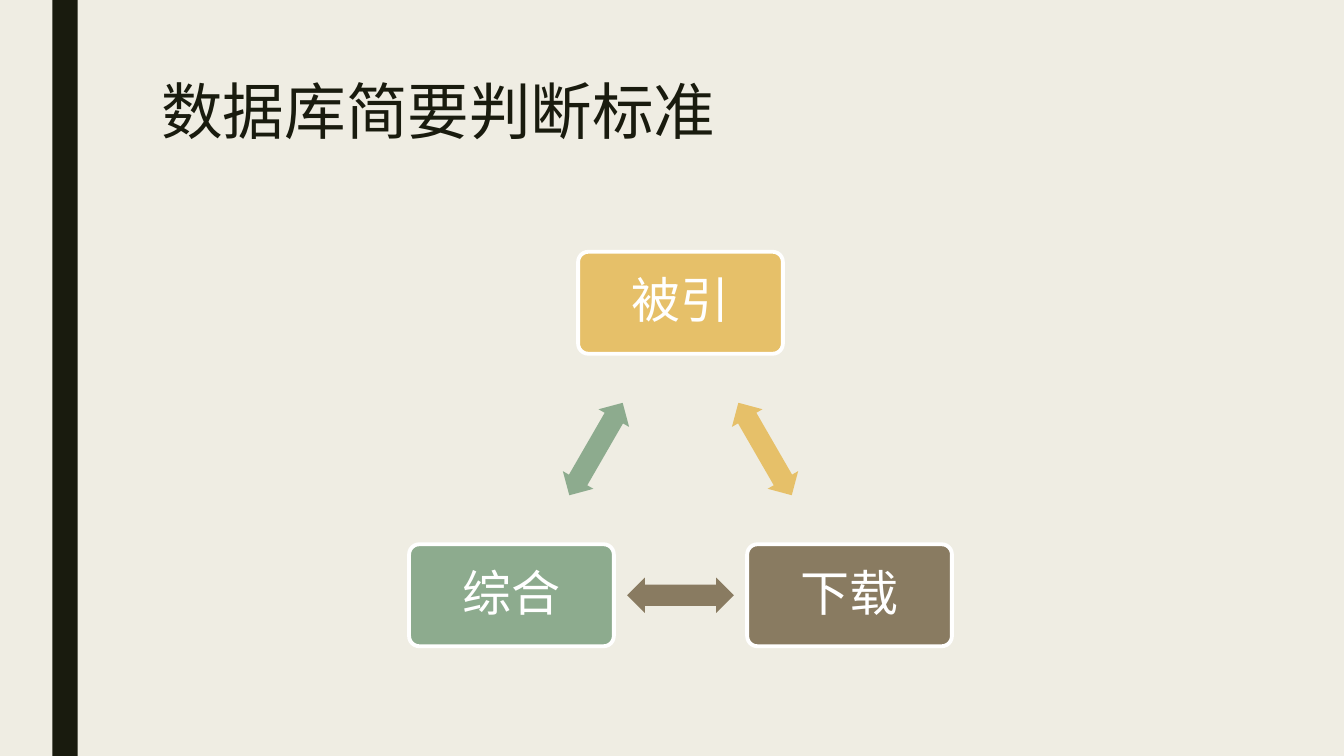
"""Build the slide showing three linked criteria for judging a database."""
from typing import NamedTuple

from pptx import Presentation
from pptx.dml.color import RGBColor
from pptx.enum.shapes import MSO_SHAPE
from pptx.enum.text import MSO_ANCHOR, MSO_AUTO_SIZE, PP_ALIGN
from pptx.util import Cm, Pt

RECTANGLE = MSO_SHAPE.RECTANGLE
ROUNDED = MSO_SHAPE.ROUNDED_RECTANGLE
DOUBLE_ARROW = MSO_SHAPE.LEFT_RIGHT_ARROW
TOP, MIDDLE = MSO_ANCHOR.TOP, MSO_ANCHOR.MIDDLE
LEFT, CENTER = PP_ALIGN.LEFT, PP_ALIGN.CENTER
NO_AUTOFIT = MSO_AUTO_SIZE.NONE

CREAM = RGBColor(0xEF, 0xED, 0xE3)
DARK = RGBColor(0x19, 0x1B, 0x0E)
WHITE = RGBColor(0xFF, 0xFF, 0xFF)
GOLD = RGBColor(0xE6, 0xC0, 0x69)
BROWN = RGBColor(0x89, 0x7B, 0x61)
GREEN = RGBColor(0x8D, 0xAB, 0x8E)

FONT = "Lato"
BOX_WIDTH, BOX_HEIGHT = 5.16, 2.57
ARROW_WIDTH, ARROW_HEIGHT = 2.69, 0.89


class Criterion(NamedTuple):
    """A criterion box, its centre in cm, and the turn of the arrow to the next one."""
    label: str
    x: float
    y: float
    color: RGBColor
    arrow_angle: int


CRITERIA = [
    Criterion("被引", 17.15, 7.63, GOLD, 60),
    Criterion("下载", 21.41, 15, BROWN, 180),
    Criterion("综合", 12.89, 15, GREEN, 300),
]


def add_filled(slide, kind, x: float, y: float, width: float, height: float,
               color: RGBColor):
    """Add a plain filled shape centred on x, y, in cm."""
    shape = slide.shapes.add_shape(
        kind, Cm(x - width / 2), Cm(y - height / 2), Cm(width), Cm(height))
    shape.shadow.inherit = False
    shape.fill.solid()
    shape.fill.fore_color.rgb = color
    shape.line.fill.background()
    return shape


def format_text(frame, text: str, size: int, color: RGBColor, align, anchor) -> None:
    """Write one formatted paragraph into a text frame."""
    frame.text = text
    frame.word_wrap = True
    frame.auto_size = NO_AUTOFIT
    frame.vertical_anchor = anchor
    paragraph = frame.paragraphs[0]
    paragraph.alignment = align
    paragraph.line_spacing = 0.9
    paragraph.space_before = Pt(0)
    paragraph.font.name = FONT
    paragraph.font.size = Pt(size)
    paragraph.font.color.rgb = color


def add_criterion(slide, criterion: Criterion) -> None:
    """Add the labelled box of a criterion."""
    box = add_filled(slide, ROUNDED, criterion.x, criterion.y,
                     BOX_WIDTH, BOX_HEIGHT, criterion.color)
    box.adjustments[0] = 0.1
    box.line.color.rgb = WHITE
    box.line.width = Pt(2.75)
    frame = box.text_frame
    frame.margin_left = frame.margin_right = Cm(0.4)
    frame.margin_top = frame.margin_bottom = Cm(0.4)
    format_text(frame, criterion.label, 35, WHITE, CENTER, MIDDLE)


def add_link(slide, start: Criterion, end: Criterion) -> None:
    """Add the double arrow halfway between two criteria."""
    arrow = add_filled(slide, DOUBLE_ARROW, (start.x + end.x) / 2,
                       (start.y + end.y) / 2, ARROW_WIDTH, ARROW_HEIGHT, start.color)
    arrow.adjustments[0] = 0.6
    arrow.adjustments[1] = 0.5
    arrow.rotation = start.arrow_angle


def main() -> None:
    """Build and save the presentation."""
    presentation = Presentation()
    presentation.slide_width, presentation.slide_height = Cm(33.87), Cm(19.05)
    slide = presentation.slides.add_slide(presentation.slide_layouts[5])
    slide.background.fill.solid()
    slide.background.fill.fore_color.rgb = CREAM

    add_filled(slide, RECTANGLE, 1.64, 9.525, 0.64, 19.05, DARK)

    title = slide.shapes.title
    title.left, title.top = Cm(3.81), Cm(1.91)
    title.width, title.height = Cm(26.67), Cm(4.11)
    format_text(title.text_frame, "数据库简要判断标准", 44, DARK, LEFT, TOP)

    for criterion, following in zip(CRITERIA, CRITERIA[1:] + CRITERIA[:1]):
        add_criterion(slide, criterion)
        add_link(slide, criterion, following)

    presentation.save("out.pptx")


if __name__ == "__main__":
    main()
